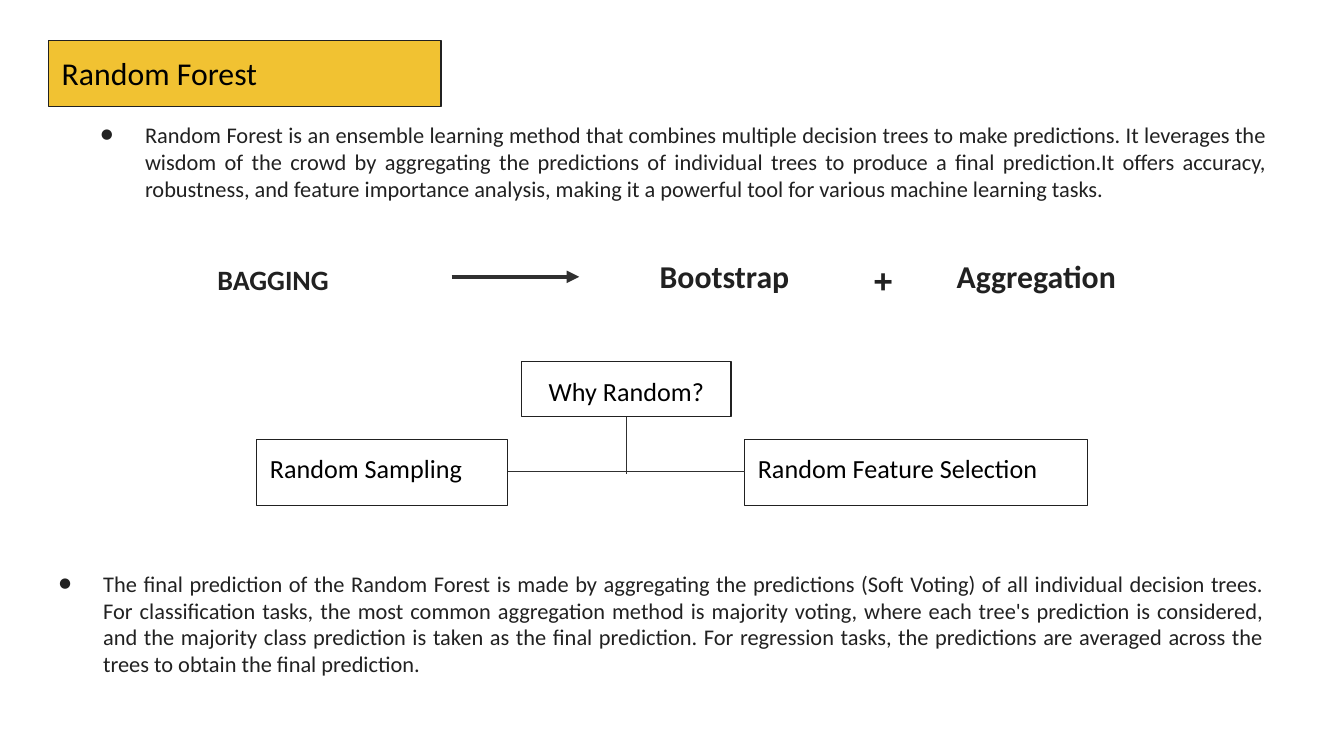
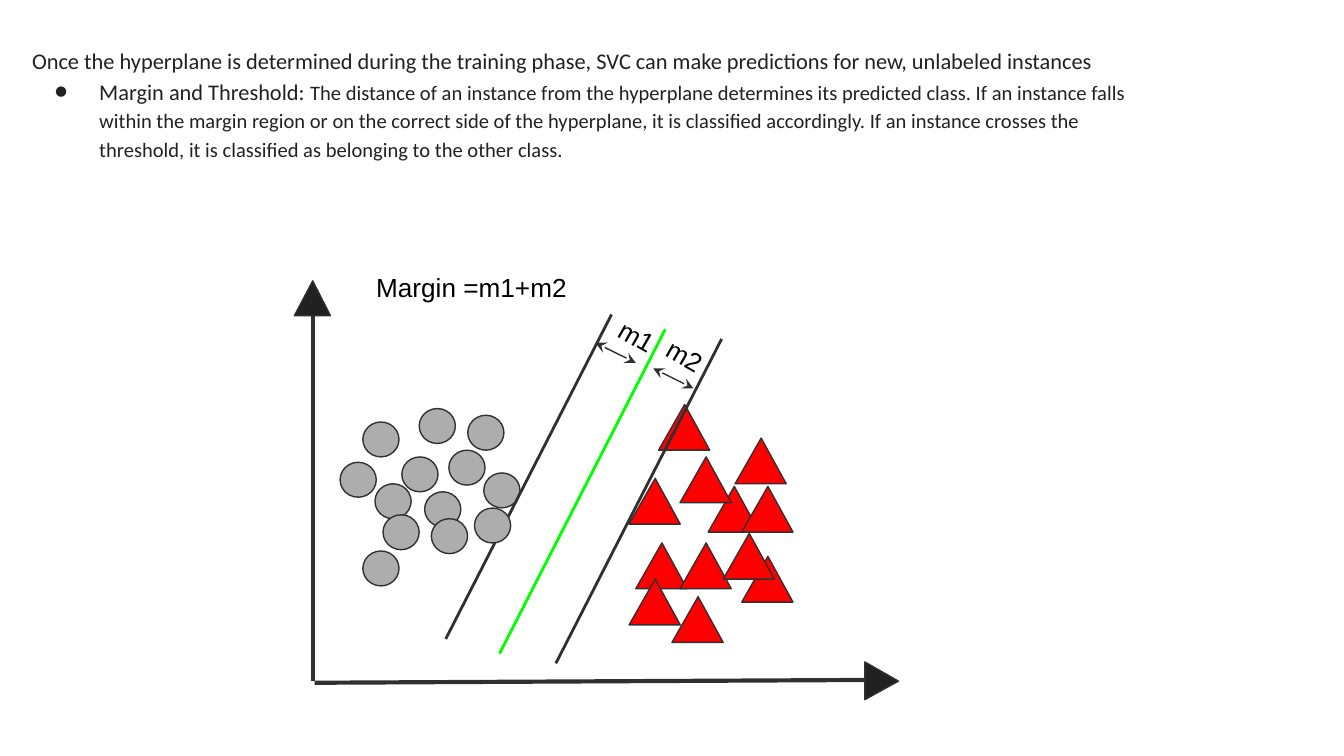
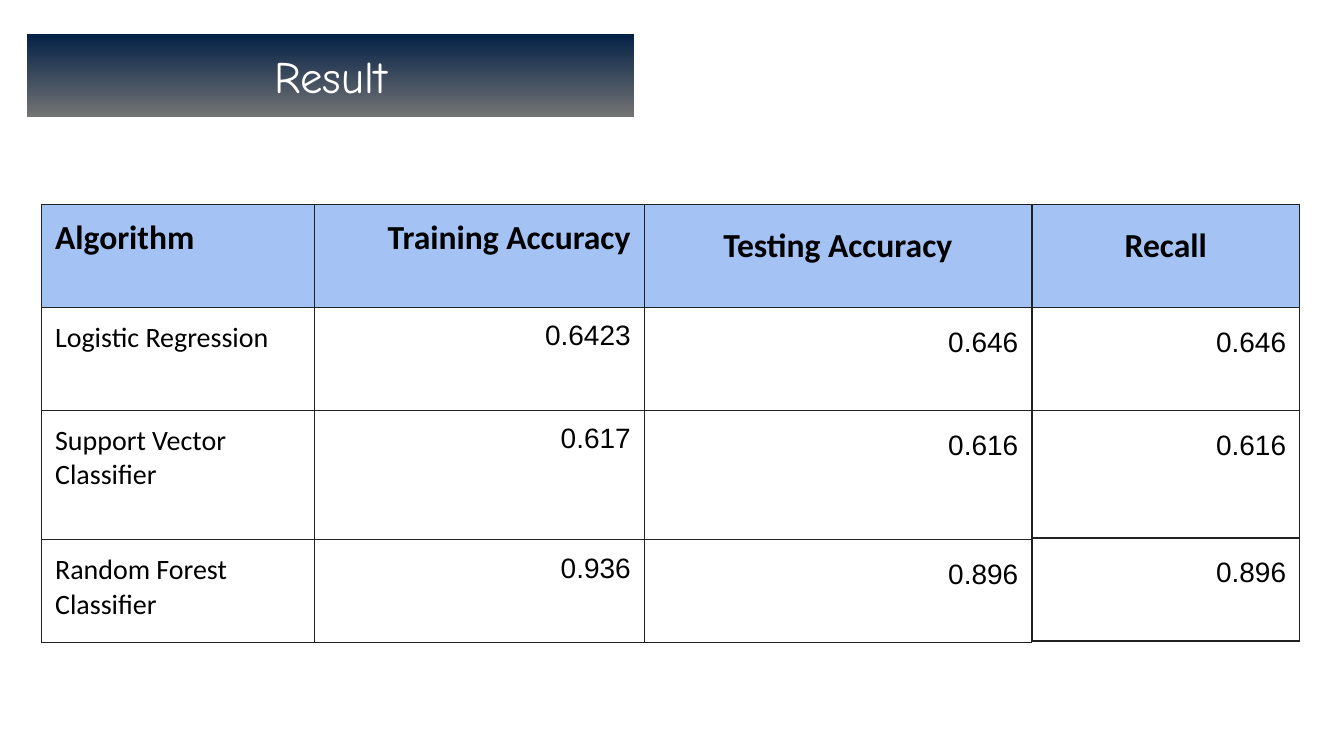
from lxml import etree
from pptx import Presentation
from pptx.dml.color import RGBColor
from pptx.enum.shapes import MSO_CONNECTOR, MSO_SHAPE
from pptx.enum.text import MSO_ANCHOR, MSO_AUTO_SIZE, PP_ALIGN
from pptx.oxml.ns import qn
from pptx.util import Pt

COLORS = {
    "ink": "212121", "line": "303030", "black": "000000", "white": "FFFFFF",
    "title": "F1C232", "circle": "ADADAD", "triangle": "FF0000",
    "hyperplane": "00FF00", "navy": "032146", "gray": "737373",
    "header": "A4C2F4",
}
BODY, PLAIN, DISPLAY = "Calibri", "Arial", "Comic Neue"
INSET = 7.2
LEFT, CENTER, RIGHT, JUSTIFY = (
    PP_ALIGN.LEFT, PP_ALIGN.CENTER, PP_ALIGN.RIGHT, PP_ALIGN.JUSTIFY)


def rgb(name):
    return RGBColor.from_string(COLORS[name])


def sub(parent, tag, **attrs):
    return etree.SubElement(parent, qn(tag), attrs)


# ---- Text ----
def set_insets(target):
    target.margin_left = target.margin_right = Pt(INSET)
    target.margin_top = target.margin_bottom = Pt(INSET)


def write(p, runs, font=BODY, color="ink", bold=False, align=LEFT,
          spacing=None, indent=0, bullet=False):
    """Fill a paragraph with (text, size) runs."""
    p.alignment = align
    if spacing:
        p.line_spacing = spacing
    pPr = p._p.get_or_add_pPr()
    if indent:
        pPr.set("marL", str(Pt(indent)))
        pPr.set("indent", "0")
    if bullet:
        pPr.set("marL", str(Pt(36)))
        pPr.set("indent", str(-Pt(24)))
        sub(sub(pPr, "a:buClr"), "a:srgbClr", val=COLORS[color])
        sub(pPr, "a:buFont", typeface=font)
        sub(pPr, "a:buChar", char="●")
    for text, size in runs:
        r = p.add_run()
        r.text = text
        r.font.name, r.font.size, r.font.bold = font, Pt(size), bold
        r.font.color.rgb = rgb(color)


def add_text(slide, box, text, size, rotation=0, **style):
    sp = slide.shapes.add_textbox(*map(Pt, box))
    sp.rotation = rotation
    tf = sp.text_frame
    tf.word_wrap = True
    tf.auto_size = MSO_AUTO_SIZE.SHAPE_TO_FIT_TEXT
    set_insets(tf)
    write(tf.paragraphs[0], [(text, size)], **style)
    return tf


# ---- Shapes and lines ----
def add_shape(slide, kind, box, fill=None, line="line"):
    sp = slide.shapes.add_shape(kind, *map(Pt, box))
    sp.shadow.inherit = False
    if fill:
        sp.fill.solid()
        sp.fill.fore_color.rgb = rgb(fill)
    else:
        sp.fill.background()
    if line:
        sp.line.color.rgb = rgb(line)
        sp.line.width = Pt(0.75)
    else:
        sp.line.fill.background()
    return sp


def add_label_box(slide, box, text, size, fill=None, line="ink",
                  anchor=MSO_ANCHOR.TOP, color="black", **style):
    sp = add_shape(slide, MSO_SHAPE.RECTANGLE, box, fill, line)
    tf = sp.text_frame
    tf.word_wrap = True
    tf.vertical_anchor = anchor
    set_insets(tf)
    write(tf.paragraphs[0], [(text, size)], color=color, **style)
    return sp


def add_circle(slide, x, y):
    add_shape(slide, MSO_SHAPE.OVAL, (x, y, 19.4, 18.7), "circle")


def add_triangle(slide, box, fill, rotation=0):
    sp = add_shape(slide, MSO_SHAPE.ISOSCELES_TRIANGLE, box, fill)
    sp.adjustments[0] = 0.51
    sp.rotation = rotation


def add_line(slide, x1, y1, x2, y2, width=0.75, color="line",
             head=None, tail=None):
    cn = slide.shapes.add_connector(
        MSO_CONNECTOR.STRAIGHT, *map(Pt, (x1, y1, x2, y2)))
    cn.line.color.rgb = rgb(color)
    cn.line.width = Pt(width)
    ln = cn.line._get_or_add_ln()
    for tag, kind in (("a:headEnd", head), ("a:tailEnd", tail)):
        if kind:
            sub(ln, tag, type=kind)
    sub(cn._element.spPr, "a:effectLst")


# ---- Tables ----
def format_cell(cell, fill):
    set_insets(cell)
    tcPr = cell._tc.get_or_add_tcPr()
    for side in ("a:lnL", "a:lnR", "a:lnT", "a:lnB"):
        ln = sub(tcPr, side, w=str(Pt(0.75)))
        sub(sub(ln, "a:solidFill"), "a:srgbClr", val=COLORS["ink"])
    if fill:
        cell.fill.solid()
        cell.fill.fore_color.rgb = rgb(fill)
    else:
        cell.fill.background()


def add_table(slide, left, top, columns, heights, rows):
    """columns holds (width, header alignment, value alignment, spacing)."""
    table = slide.shapes.add_table(
        len(rows), len(columns), Pt(left), Pt(top),
        Pt(sum(c[0] for c in columns)), Pt(sum(heights))).table
    table.first_row = table.horz_banding = False
    for i, height in enumerate(heights):
        table.rows[i].height = Pt(height)
    for j, (width, head_align, value_align, spacing) in enumerate(columns):
        table.columns[j].width = Pt(width)
        for i, row in enumerate(rows):
            head = i == 0
            cell = table.cell(i, j)
            format_cell(cell, "header" if head else None)
            write(cell.text_frame.paragraphs[0],
                  [(row[j], 18 if head else 15)], color="black", bold=head,
                  font=BODY if head or value_align == LEFT else PLAIN,
                  align=head_align if head else value_align, spacing=spacing)


# ---- Slides ----
def random_forest_slide(slide):
    add_label_box(slide, (26, 21.8, 210.2, 35.3), "Random Forest", 17,
                  fill="title")
    add_text(slide, (34.6, 57.6, 651.6, 72.7),
             "Random Forest is an ensemble learning method that combines "
             "multiple decision trees to make predictions. It leverages the "
             "wisdom of the crowd by aggregating the predictions of "
             "individual trees to produce a final prediction.It offers "
             "accuracy, robustness, and feature importance analysis, making "
             "it a powerful tool for various machine learning tasks.",
             12, align=JUSTIFY, bullet=True)

    # Bagging equation
    for x, y, text, size in ((73.4, 133.2, "BAGGING", 15),
                             (310.3, 130.3, "Bootstrap", 17),
                             (469.4, 130.3, "Aggregation", 17)):
        add_text(slide, (x, y, 158.4, 2 * INSET + 1.22 * size), text, size,
                 bold=True, align=JUSTIFY, indent=36)
    add_text(slide, (460.8, 131.8, 36.7, 36), "+", 18, font=PLAIN, bold=True)
    add_line(slide, 241.9, 148.3, 310.3, 148.3, 2.25, tail="triangle")

    # Why random? tree
    add_label_box(slide, (279.4, 193.7, 112.3, 29.5), "Why Random?", 14,
                  align=CENTER)
    add_label_box(slide, (137.5, 235.4, 134.6, 35.3), "Random Sampling", 14)
    add_label_box(slide, (398.9, 235.4, 183.6, 35.3),
                  "Random Feature Selection", 14)
    add_line(slide, 335.5, 223.2, 335.5, 254.2)
    add_line(slide, 272.1, 252.7, 398.9, 252.7)

    add_text(slide, (12.2, 298.1, 672.5, 72.7),
             "The final prediction of the Random Forest is made by "
             "aggregating the predictions (Soft Voting) of all individual "
             "decision trees. For classification tasks, the most common "
             "aggregation method is majority voting, where each tree's "
             "prediction is considered, and the majority class prediction is "
             "taken as the final prediction. For regression tasks, the "
             "predictions are averaged across the trees to obtain the final "
             "prediction.", 12, align=JUSTIFY, bullet=True)


def margin_slide(slide):
    # Axes
    add_line(slide, 167.8, 161.3, 167.8, 365, 2.25)
    add_line(slide, 168.5, 365.8, 463, 364.3, 2.25)
    add_triangle(slide, (157.7, 150.5, 19.4, 18.7), "ink")
    add_triangle(slide, (462.2, 355.7, 20.2, 18), "ink", 90)

    # Two classes of instances
    for x, y in ((215.3, 244.8), (259.2, 253.4), (227.5, 263.5),
                 (200.9, 259.2), (250.6, 222.5), (224.6, 218.9),
                 (205.2, 275.8), (240.5, 241.2), (194.4, 226.1),
                 (182.2, 247.7), (231.1, 277.9), (194.4, 295.2)):
        add_circle(slide, x, y)
    for x, y in ((340.6, 290.9), (337, 310.3), (364.3, 290.9),
                 (379.4, 260.6), (360, 319.7), (397.4, 298.1),
                 (393.8, 234.7), (337, 256.3), (352.8, 216.7),
                 (364.3, 244.8), (397.4, 260.6), (387.4, 285.8)):
        add_triangle(slide, (x, y, 27.4, 24.5), "triangle")

    # Margins and hyperplane
    for x, y, color in ((327.6, 168.5, "line"), (386.6, 181.6, "line"),
                        (356.4, 176.4, "hyperplane")):
        add_line(slide, x, y, x - 88.8, y + 173.8, 1.5, color)
    for x, y in ((349.9, 197.3), (319, 183.6)):
        add_line(slide, x, y, x + 21.6, y + 10.8,
                 head="stealth", tail="stealth")
    add_circle(slide, 254.2, 272.2)  # lies over the left margin

    for box, text, rotation in (
            ((194.4, 138.2, 133.2, 31.7), "Margin =m1+m2", 0),
            ((324, 165.6, 38.2, 31.7), "m1", 30),
            ((349.9, 175.7, 36, 31.7), "m2", 30)):
        add_text(slide, box, text, 14, rotation, font=PLAIN, color="black")

    # Explanation
    tf = add_text(slide, (10.1, 15.8, 619.2, 127.4),
                  "Once the hyperplane is determined during the training "
                  "phase, SVC can make predictions for new, unlabeled "
                  "instances", 12, spacing=1.15)
    tf.auto_size = MSO_AUTO_SIZE.NONE
    write(tf.add_paragraph(), [
        ("Margin and Threshold: ", 12),
        ("The distance of an instance from the hyperplane determines its "
         "predicted class. If an instance falls within the margin region or "
         "on the correct side of the hyperplane, it is classified "
         "accordingly. If an instance crosses the threshold, it is "
         "classified as belonging to the other class.", 11),
    ], spacing=1.15, bullet=True)


def result_slide(slide):
    # Gradient title
    sp = add_label_box(slide, (14.4, 18, 325.4, 44.6), "Result", 24,
                       line=None, anchor=MSO_ANCHOR.MIDDLE, color="white",
                       font=DISPLAY, align=CENTER)
    sp.fill.gradient()
    sp.fill.gradient_angle = 270
    for stop, color in zip(sp.fill.gradient_stops, ("navy", "gray")):
        stop.color.rgb = rgb(color)

    # Accuracy and recall
    add_table(slide, 22.3, 109.4,
              [(146.4, LEFT, LEFT, None), (176.4, RIGHT, RIGHT, None),
               (207.6, CENTER, RIGHT, 1.2)],
              [55.2, 55.2, 69.4, 55.2],
              [("Algorithm", "Training Accuracy", "Testing Accuracy"),
               ("Logistic Regression", "0.6423", "0.646"),
               ("Support Vector Classifier", "0.617", "0.616"),
               ("Random Forest Classifier", "0.936", "0.896")])
    add_table(slide, 552.9, 109.4, [(143.3, CENTER, RIGHT, 1.2)],
              [55.2, 55.2, 68.4, 55.2],
              [("Recall",), ("0.646",), ("0.616",), ("0.896",)])


def main():
    prs = Presentation()
    prs.slide_width, prs.slide_height = Pt(720), Pt(405)
    for build in (random_forest_slide, margin_slide, result_slide):
        build(prs.slides.add_slide(prs.slide_layouts[6]))
    prs.save("out.pptx")


if __name__ == "__main__":
    main()
